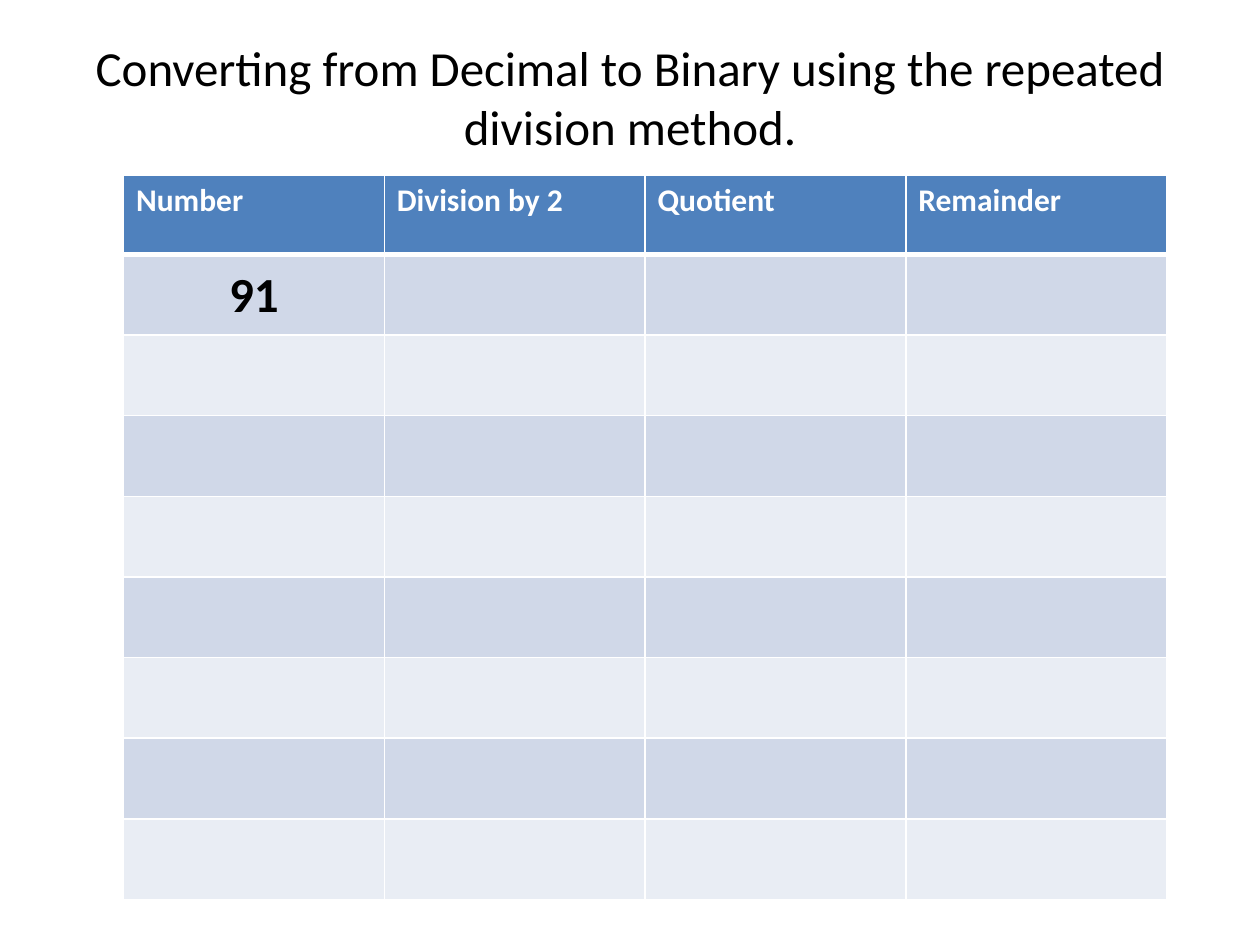
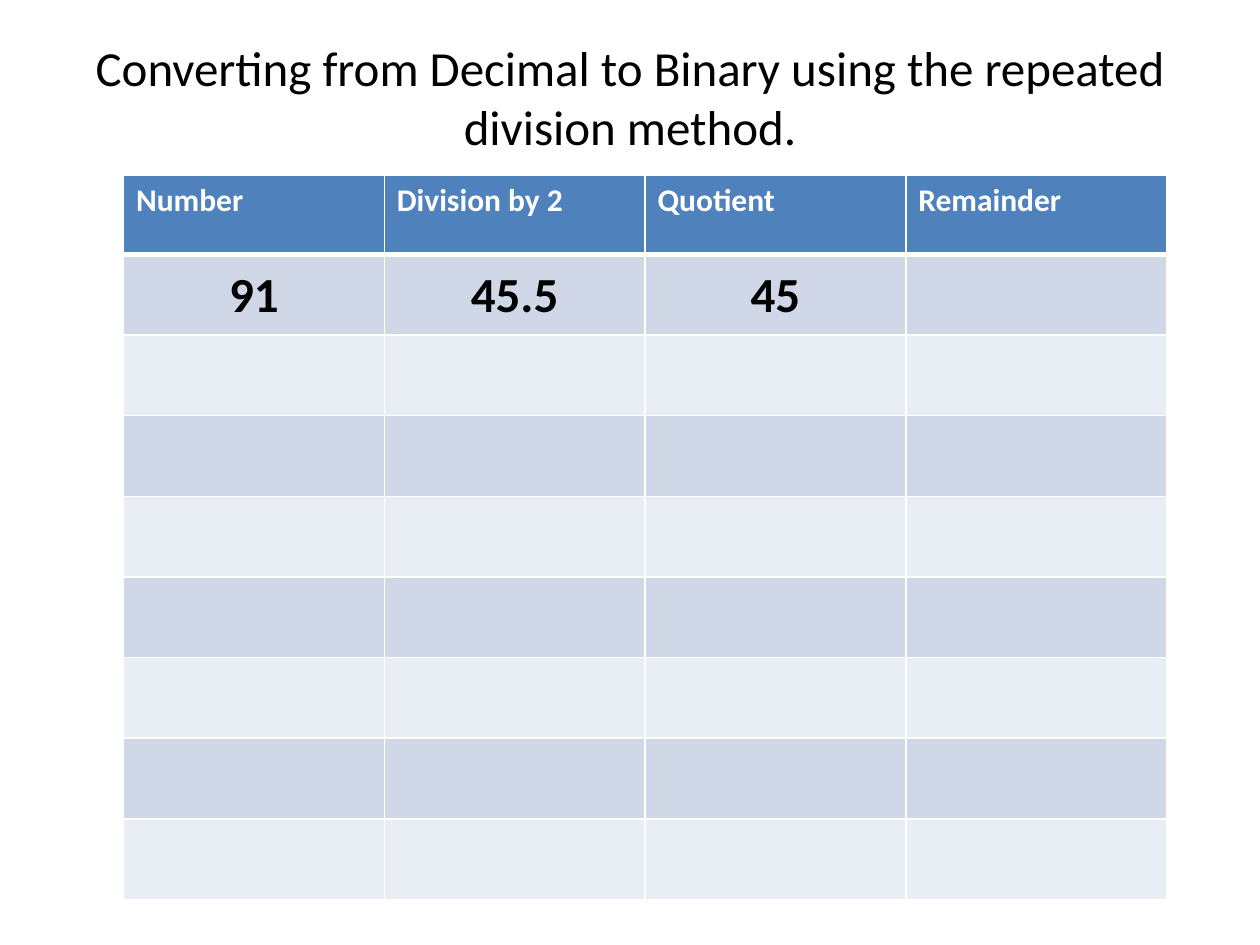
"""Build two slides that work through decimal to binary conversion by repeated division."""
import pptx
import pptx.dml.color
import pptx.enum.text
import pptx.oxml
import pptx.oxml.ns
import pptx.util

PX = 9144
FONT = "Calibri"
BLACK = pptx.dml.color.RGBColor(0x00, 0x00, 0x00)
WHITE = pptx.dml.color.RGBColor(0xFF, 0xFF, 0xFF)
HEADER_BLUE = pptx.dml.color.RGBColor(0x4F, 0x81, 0xBD)
BAND_COLOURS = (
    pptx.dml.color.RGBColor(0xD0, 0xD8, 0xE8),
    pptx.dml.color.RGBColor(0xE9, 0xED, 0xF4),
)
CENTER = pptx.enum.text.PP_ALIGN.CENTER
LEFT = pptx.enum.text.PP_ALIGN.LEFT
MIDDLE = pptx.enum.text.MSO_ANCHOR.MIDDLE
TOP = pptx.enum.text.MSO_ANCHOR.TOP

TITLE = "Converting from Decimal to Binary using the repeated division method."
HEADINGS = ("Number", "Division by 2", "Quotient", "Remainder")
DIVISION_STEPS = (("91",), ("91", "45.5", "45"))
STEP_ROWS = 8
COLUMN_WIDTH = 207
HEADER_HEIGHT = 63
STEP_HEIGHT = 64

TITLE_FONT = {"name": FONT, "size": pptx.util.Pt(28), "bold": False}
HEADING_FONT = {"name": FONT, "size": pptx.util.Pt(18), "bold": True}
VALUE_FONT = {"name": FONT, "size": pptx.util.Pt(28), "bold": True}
TITLE_FRAME = {"word_wrap": True, "vertical_anchor": TOP, "margin_top": 0, "margin_bottom": 0}
HEADING_CELL = {"vertical_anchor": TOP}
VALUE_CELL = {
    "vertical_anchor": MIDDLE,
    "margin_left": PX,
    "margin_right": PX,
    "margin_top": PX,
    "margin_bottom": 0,
}


def set_attributes(target, values):
    """Set each named value on the target."""
    for name, value in values.items():
        setattr(target, name, value)


def write_text(text_frame, text, font_values, colour, alignment):
    """Write one formatted paragraph."""
    paragraph = text_frame.paragraphs[0]
    paragraph.alignment = alignment
    run = paragraph.add_run()
    run.text = text
    set_attributes(run.font, font_values)
    run.font.color.rgb = colour


def add_title(slide):
    """Add the shared slide title."""
    box = slide.shapes.add_textbox(50 * PX, 30 * PX, 900 * PX, 94 * PX)
    set_attributes(box.text_frame, TITLE_FRAME)
    write_text(box.text_frame, TITLE, TITLE_FONT, BLACK, CENTER)


def style_cell(cell, colour, top_width, bottom_width):
    """Give a cell white borders and a solid fill."""
    properties = cell._tc.get_or_add_tcPr()
    for side, width in (("L", 1), ("R", 1), ("T", top_width), ("B", bottom_width)):
        properties.append(pptx.oxml.parse_xml(
            f'<a:ln{side} {pptx.oxml.ns.nsdecls("a")} w="{pptx.util.Pt(width)}">'
            f'<a:solidFill><a:srgbClr val="{WHITE}"/></a:solidFill></a:ln{side}>'
        ))
    cell.fill.solid()
    cell.fill.fore_color.rgb = colour


def add_division_table(slide, step_values):
    """Add the division table with the first step filled as far as given."""
    columns = len(HEADINGS)
    table = slide.shapes.add_table(
        STEP_ROWS + 1, columns, 98 * PX, 139 * PX,
        columns * COLUMN_WIDTH * PX, (HEADER_HEIGHT + STEP_ROWS * STEP_HEIGHT) * PX,
    ).table
    for column in table.columns:
        column.width = COLUMN_WIDTH * PX
    for index, row in enumerate(table.rows):
        row.height = (STEP_HEIGHT if index else HEADER_HEIGHT) * PX
        colour = BAND_COLOURS[(index - 1) % 2] if index else HEADER_BLUE
        for cell in row.cells:
            style_cell(cell, colour, 3 if index == 1 else 1, 1 if index else 3)
    for index, heading in enumerate(HEADINGS):
        cell = table.cell(0, index)
        set_attributes(cell, HEADING_CELL)
        write_text(cell.text_frame, heading, HEADING_FONT, WHITE, LEFT)
    for index, value in enumerate(step_values):
        cell = table.cell(1, index)
        set_attributes(cell, VALUE_CELL)
        write_text(cell.text_frame, value, VALUE_FONT, BLACK, CENTER)


def main():
    """Build and save the presentation."""
    presentation = pptx.Presentation()
    presentation.slide_width = 1000 * PX
    presentation.slide_height = 750 * PX
    for step_values in DIVISION_STEPS:
        slide = presentation.slides.add_slide(presentation.slide_layouts[6])
        add_title(slide)
        add_division_table(slide, step_values)
    presentation.save("out.pptx")


if __name__ == "__main__":
    main()
